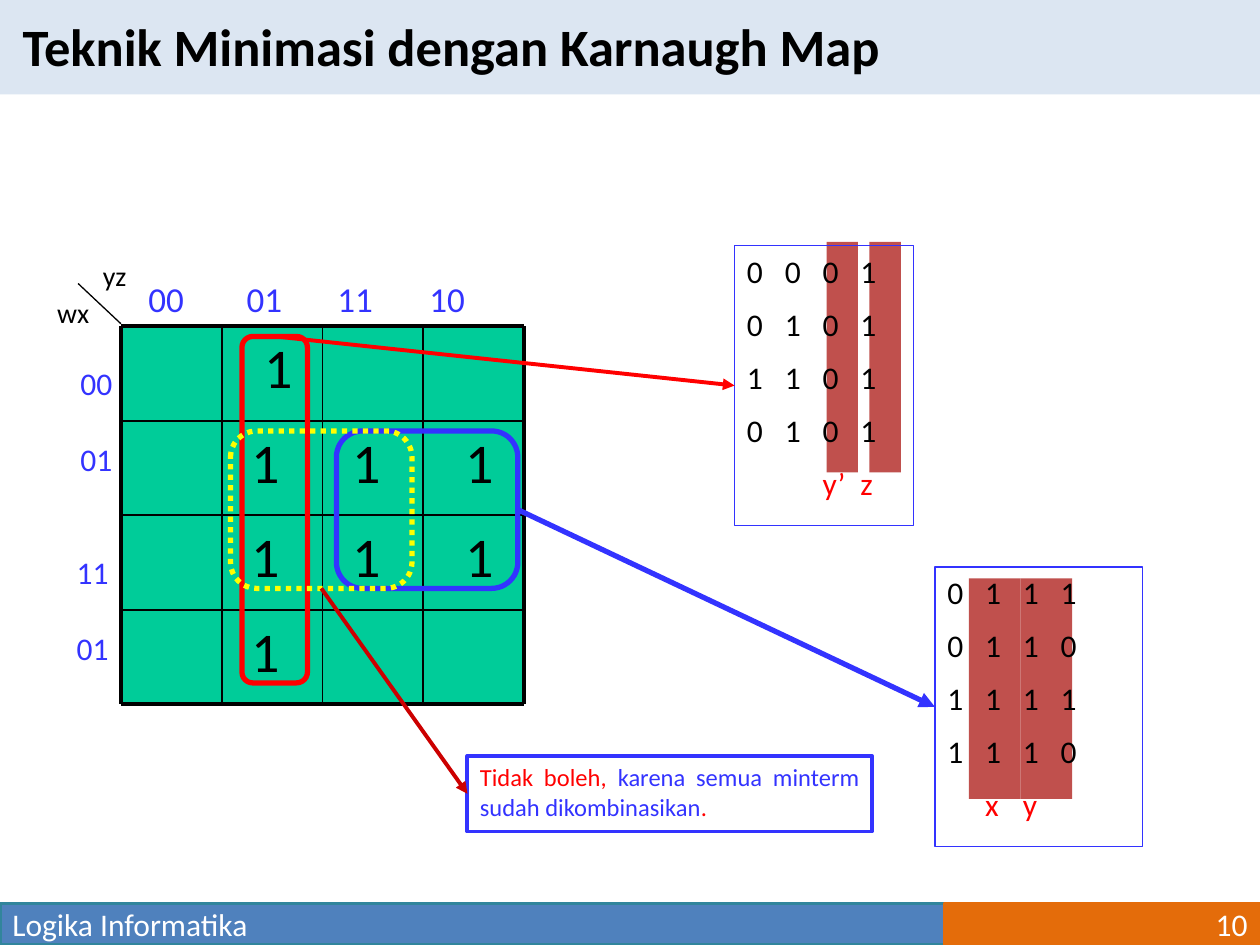
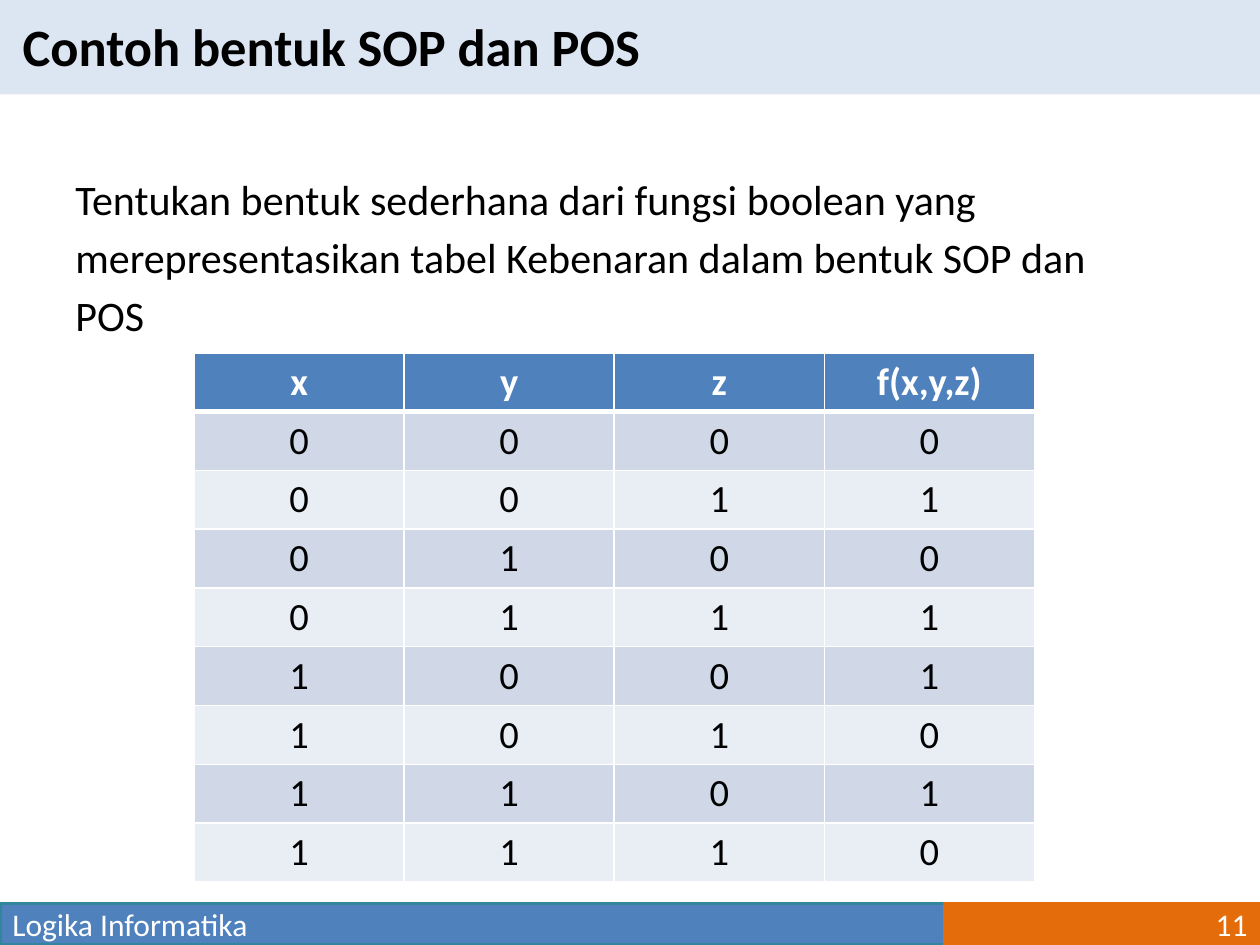
import itertools
import lxml.etree
import pptx
import pptx.dml.color
import pptx.enum.dml
import pptx.enum.shapes
import pptx.enum.text
import pptx.oxml.ns
import pptx.util

Inches = pptx.util.Inches
Pt = pptx.util.Pt
RGBColor = pptx.dml.color.RGBColor
SHAPE = pptx.enum.shapes.MSO_SHAPE
ALIGN = pptx.enum.text.PP_ALIGN
ANCHOR = pptx.enum.text.MSO_ANCHOR
DASH = pptx.enum.dml.MSO_LINE
qn = pptx.oxml.ns.qn

BLACK = RGBColor(0x00, 0x00, 0x00)
WHITE = RGBColor(0xFF, 0xFF, 0xFF)
PALE_BLUE = RGBColor(0xDC, 0xE6, 0xF2)
STEEL = RGBColor(0x4F, 0x81, 0xBD)
TEAL = RGBColor(0x31, 0x85, 0x9C)
ORANGE = RGBColor(0xE4, 0x6C, 0x0A)
GREEN = RGBColor(0x00, 0xCC, 0x99)
BLUE = RGBColor(0x33, 0x33, 0xFF)
RED = RGBColor(0xFF, 0x00, 0x00)
CRIMSON = RGBColor(0xCC, 0x00, 0x00)
BRICK = RGBColor(0xC0, 0x50, 0x4D)
YELLOW = RGBColor(0xFF, 0xFF, 0x00)
ROW_DARK = RGBColor(0xD0, 0xD8, 0xE8)
ROW_LIGHT = RGBColor(0xE9, 0xED, 0xF4)

TOP, LEFT, BOTTOM, RIGHT = range(4)


class Deck:
    font = "Calibri"

    def __init__(self):
        self.prs = pptx.Presentation()
        self.prs.slide_width = Inches(10)
        self.prs.slide_height = Inches(7.5)
        self.s = None

    def slide(self, title, number):
        self.s = self.prs.slides.add_slide(self.prs.slide_layouts[5])
        band = self.shape((0, 0, 10, 0.75), PALE_BLUE)
        self.s.shapes.element.insert(2, band.element)
        sp = self.s.shapes.title
        box = {"left": 0.08, "top": 0.06, "width": 9.8, "height": 0.61}
        for name, value in box.items():
            setattr(sp, name, Inches(value))
        self.put_text(sp, [title], 30, bold=True, anchor=ANCHOR.MIDDLE)
        sp = self.shape((0, 7.17, 7.5, 0.33), STEEL, TEAL, 2)
        self.put_text(sp, ["Logika Informatika"], 18, WHITE, anchor=ANCHOR.MIDDLE)
        sp = self.shape((7.5, 7.17, 2.5, 0.33), ORANGE, ORANGE, 2)
        self.put_text(sp, [str(number)], 18, WHITE, ALIGN.RIGHT, anchor=ANCHOR.MIDDLE)

    def put_text(self, target, paras, size, color=BLACK, align=ALIGN.LEFT,
                 bold=False, gap=0, tabs=(), anchor=ANCHOR.TOP):
        tf = target.text_frame
        tf.word_wrap = True
        tf.vertical_anchor = anchor
        for i, runs in enumerate(paras):
            p = tf.add_paragraph() if i else tf.paragraphs[0]
            formats = {"alignment": align, "space_before": Pt(0), "space_after": Pt(gap)}
            for name, value in formats.items():
                setattr(p, name, value)
            if tabs:
                tab_list = lxml.etree.SubElement(p._p.get_or_add_pPr(), qn("a:tabLst"))
                for pos in tabs:
                    lxml.etree.SubElement(tab_list, qn("a:tab"), pos=str(Inches(pos)), algn="l")
            for text, run_color in [(runs, color)] if isinstance(runs, str) else runs:
                r = p.add_run()
                r.text = text
                self.style(r.font, size, run_color, bold)

    def style(self, font, size, color, bold):
        for name, value in {"name": self.font, "size": Pt(size), "bold": bold}.items():
            setattr(font, name, value)
        font.color.rgb = color

    def shape(self, at, fill=None, line=None, width=1, kind=SHAPE.RECTANGLE, dash=None):
        sp = self.s.shapes.add_shape(kind, *map(Inches, at))
        sp.shadow.inherit = False
        if fill is None:
            sp.fill.background()
        else:
            sp.fill.solid()
            sp.fill.fore_color.rgb = fill
        if line is None:
            sp.line.fill.background()
        else:
            sp.line.color.rgb = line
            sp.line.width = Pt(width)
            if dash is not None:
                sp.line.dash_style = dash
        return sp

    def loop(self, at, color, dash=None):
        return self.shape(at, None, color, 3, SHAPE.ROUNDED_RECTANGLE, dash)

    def text(self, at, paras, size, color=BLACK, align=ALIGN.LEFT, gap=0, tabs=()):
        sp = self.s.shapes.add_textbox(*map(Inches, at))
        self.put_text(sp, paras, size, color, align, gap=gap, tabs=tabs)

    def line(self, ends, color, width):
        c = self.s.shapes.add_connector(
            pptx.enum.shapes.MSO_CONNECTOR.STRAIGHT, *map(Inches, ends))
        c.line.color.rgb = color
        c.line.width = Pt(width)
        lxml.etree.SubElement(c.element.spPr, qn("a:effectLst"))
        return c

    def arrow(self, start, start_side, end, color, width):
        c = self.line((0, 0, 1, 1), color, width)
        c.begin_connect(start, start_side)
        c.end_connect(end, LEFT)
        ln = c.element.spPr.find(qn("a:ln"))
        lxml.etree.SubElement(ln, qn("a:tailEnd"), type="triangle")

    def minterms(self, at, bars, rows, term):
        for bar in bars:
            self.shape(bar, BRICK)
        sp = self.shape(at, None, BLUE, 0.75)
        paras = ["\t".join(row) for row in rows] + [[(term, RED)]]
        self.put_text(sp, paras, 18, gap=8.7, tabs=(0.3, 0.6, 0.9))
        return sp

    def table(self, at, rows):
        table = self.s.shapes.add_table(len(rows), len(rows[0]), *map(Inches, at)).table
        for i, row in enumerate(rows):
            table.rows[i].height = Inches(at[3] / len(rows))
            for j, value in enumerate(row):
                cell = table.cell(i, j)
                head = i == 0
                formats = {"margin_top": Inches(0.04), "margin_bottom": Inches(0.04),
                           "vertical_anchor": ANCHOR.MIDDLE}
                for name, setting in formats.items():
                    setattr(cell, name, setting)
                p = cell.text_frame.paragraphs[0]
                p.alignment = ALIGN.CENTER
                r = p.add_run()
                r.text = value
                self.style(r.font, 22, WHITE if head else BLACK, head)
                self.borders(cell, 3 if head else 1, 3 if i == 1 else 1)
                cell.fill.solid()
                cell.fill.fore_color.rgb = STEEL if head else ROW_DARK if i % 2 else ROW_LIGHT

    def borders(self, cell, bottom, top):
        tc_pr = cell._tc.get_or_add_tcPr()
        for side, width in {"L": 1, "R": 1, "T": top, "B": bottom}.items():
            ln = lxml.etree.SubElement(tc_pr, qn(f"a:ln{side}"), w=str(Pt(width)))
            fill = lxml.etree.SubElement(ln, qn("a:solidFill"))
            lxml.etree.SubElement(fill, qn("a:srgbClr"), val=str(WHITE))


def karnaugh_grid(deck, x, y, w, h, rows):
    n = len(rows)
    for i, row in enumerate(rows):
        for j, value in enumerate(row):
            sp = deck.shape((x + j * w, y + i * h, w, h), GREEN)
            if value:
                deck.put_text(sp, [value], 32, align=ALIGN.CENTER)
    for i in range(n + 1):
        width = 2.25 if i in (0, n) else 1
        deck.line((x, y + i * h, x + n * w, y + i * h), BLACK, width)
        deck.line((x + i * w, y, x + i * w, y + n * h), BLACK, width)


def karnaugh_slide(deck):
    deck.slide("Teknik Minimasi dengan Karnaugh Map", 10)
    karnaugh_grid(deck, 0.96, 2.59, 0.8, 0.75, [
        ["", " 1", "", ""],
        ["", "1 ", "1 ", " 1"],
        ["", "1 ", "1 ", " 1"],
        ["", "1 ", "", ""],
    ])
    deck.text((0.96, 2.15, 3.29, 0.43), ["\t00\t01\t11\t10"], 20, BLUE,
              tabs=(0.12, 0.9, 1.62, 2.35))
    for at, codes in [((0.49, 2.84, 0.55, 1), ["00", "01"]),
                      ((0.46, 4.34, 0.55, 1), ["11", "01"])]:
        deck.text(at, codes, 18, BLUE, ALIGN.CENTER, gap=21.6)
    deck.line((0.96, 2.57, 0.62, 2.25), BLACK, 0.75)
    deck.text((0.62, 2, 0.58, 0.37), ["yz"], 16, align=ALIGN.CENTER)
    deck.text((0.29, 2.3, 0.58, 0.37), ["wx"], 16, align=ALIGN.CENTER)

    xy_loop = deck.loop((2.67, 3.42, 1.44, 1.25), BLUE)
    column_terms = deck.minterms(
        (5.83, 1.95, 1.42, 2.22),
        [(x, 1.92, 0.25, 1.83) for x in (6.56, 6.9)],
        ["0001", "0101", "1101", "0101"], "\t\ty’\tz")
    block_terms = deck.minterms(
        (7.42, 4.5, 1.65, 2.22),
        [(x, 4.59, 0.41, 1.75) for x in (7.69, 8.1)],
        ["0111", "0110", "1111", "1110"], "\tx\ty")
    column_loop = deck.loop((1.92, 2.67, 0.52, 2.75), RED)
    extra_loop = deck.loop((1.83, 3.42, 1.44, 1.25), YELLOW, DASH.ROUND_DOT)
    note = deck.shape((3.71, 6, 3.21, 0.6), None, BLUE, 2.25)
    deck.put_text(note, [[("Tidak boleh, ", RED),
                          ("karena semua minterm sudah dikombinasikan", BLUE),
                          (".", RED)]], 14, align=ALIGN.JUSTIFY)
    deck.arrow(column_loop, TOP, column_terms, RED, 2.25)
    deck.arrow(xy_loop, RIGHT, block_terms, BLUE, 3)
    deck.arrow(extra_loop, BOTTOM, note, CRIMSON, 2.25)


def truth_table_slide(deck):
    deck.slide("Contoh bentuk SOP dan POS", 11)
    deck.text((0.5, 1.33, 9, 1.45), [
        "Tentukan bentuk sederhana dari fungsi boolean yang",
        "merepresentasikan tabel Kebenaran dalam bentuk SOP dan",
        "POS",
    ], 24, gap=4.4)
    inputs = itertools.product("01", repeat=3)
    rows = [[*xyz, f] for xyz, f in zip(inputs, "01011010")]
    deck.table((1.54, 2.8, 6.67, 4.2), [["x", "y", "z", "f(x,y,z)"], *rows])


def main():
    deck = Deck()
    karnaugh_slide(deck)
    truth_table_slide(deck)
    deck.prs.save("out.pptx")


if __name__ == "__main__":
    main()
